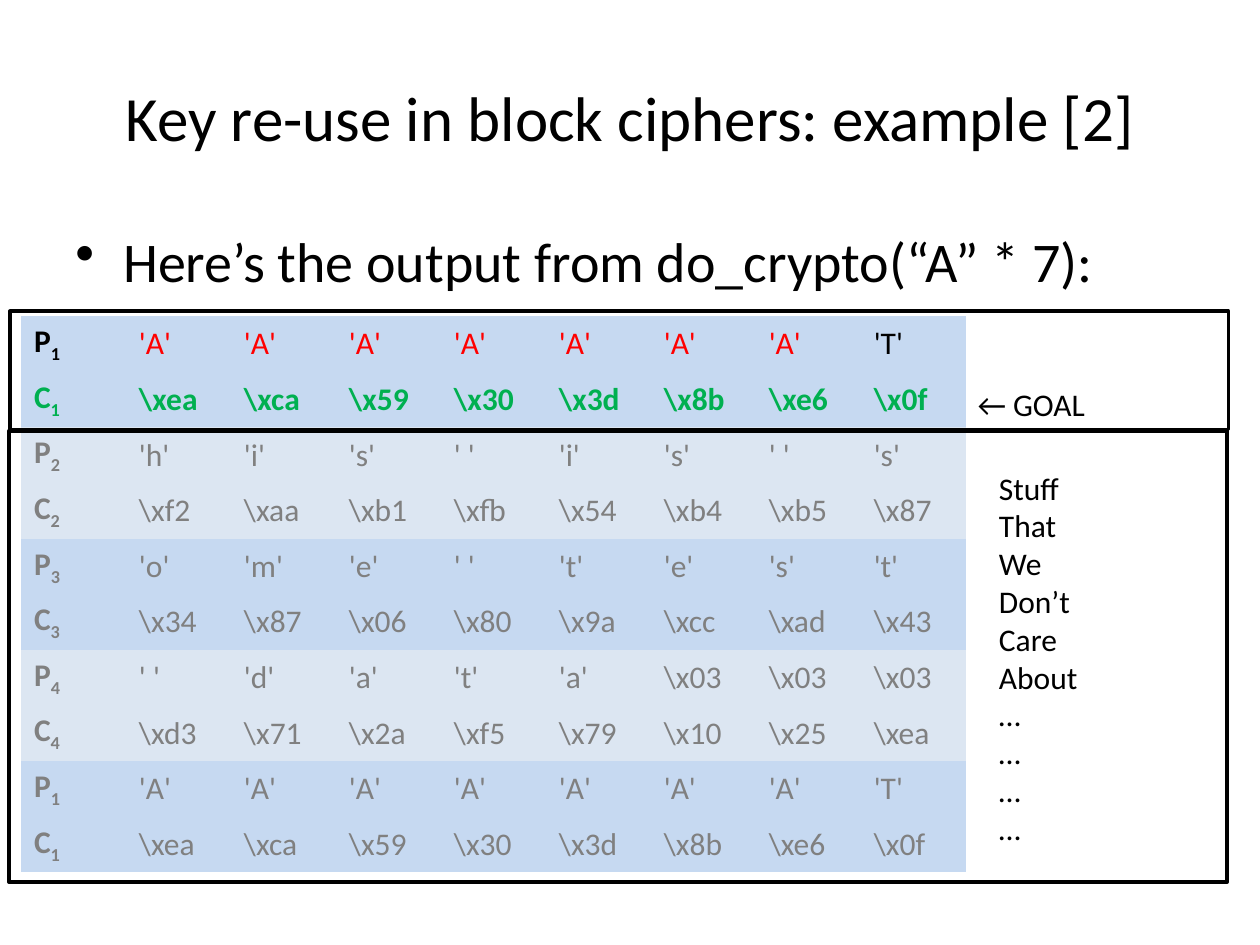
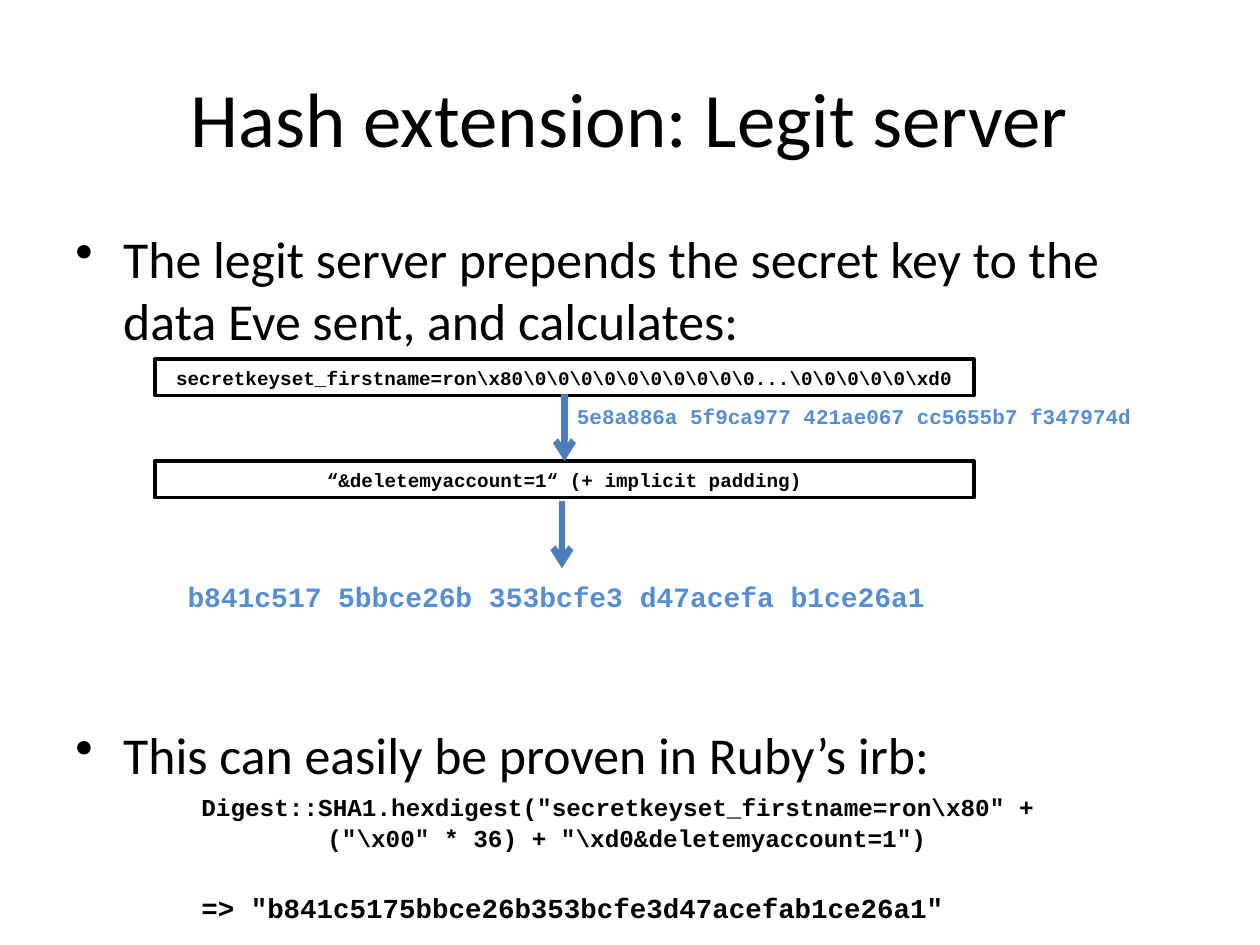
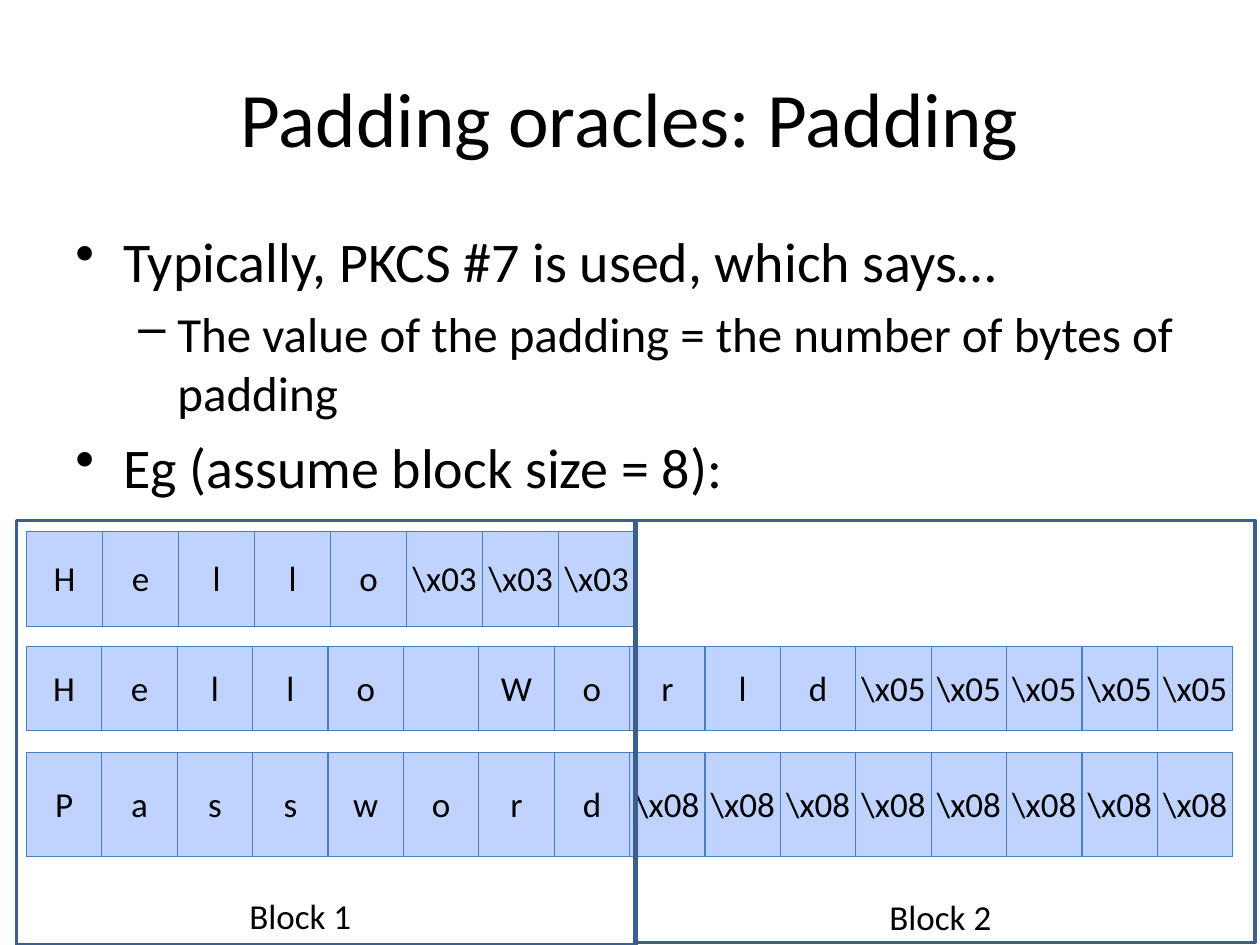
import pptx
import pptx.dml.color
import pptx.enum.shapes
import pptx.enum.text
import pptx.oxml.ns
import pptx.util
from dataclasses import dataclass
from typing import Any, Optional
from lxml import etree

Inches = pptx.util.Inches
Pt = pptx.util.Pt
qn = pptx.oxml.ns.qn
Align = pptx.enum.text.PP_ALIGN
Anchor = pptx.enum.text.MSO_ANCHOR


@dataclass(frozen=True)
class Theme:
    body_font: str = "Calibri"
    code_font: str = "Courier New"
    black: str = "000000"
    white: str = "FFFFFF"
    red: str = "FF0000"
    green: str = "00B050"
    grey: str = "808080"
    digest: str = "558ED5"
    grid: str = "4B7EBC"
    frame: str = "3A5F8C"
    band_dark: str = "C6D9F1"
    band_light: str = "DCE6F2"
    byte_fill: str = "C0D3FF"
    title: float = 44
    title_small: float = 36
    bullet: float = 32
    bullet_fitted: float = 29.6
    sub_bullet: float = 28
    byte: float = 20
    label: float = 18
    digest_large: float = 16
    result: float = 15.7
    code: float = 13.9
    digest_small: float = 12
    message: float = 11
    frame_width: float = 2
    arrow_width: float = 3.75
    grid_width: float = 0.75
    plain_table: str = "{2D5ABB26-0587-4C30-8999-92F81FD0307C}"


THEME = Theme()


@dataclass(frozen=True)
class Area:
    left: float
    top: float
    width: float
    height: float

    def lengths(self) -> tuple:
        return tuple(Inches(v) for v in (self.left, self.top, self.width, self.height))


@dataclass(frozen=True)
class Line:
    text: str
    size: float
    font: str = THEME.body_font
    color: str = THEME.black
    bold: bool = False
    align: Optional[Any] = None
    before: float = 0
    indent: float = 0
    hanging: float = 0
    bullet: str = ""


@dataclass(frozen=True)
class Frame:
    area: Area
    color: str = THEME.black
    fill: Optional[str] = None
    line: Optional[Line] = None


@dataclass(frozen=True)
class ByteRow:
    top: float
    height: float
    width: float
    values: list[str]


def rgb(value: str) -> pptx.dml.color.RGBColor:
    return pptx.dml.color.RGBColor.from_string(value)


def bullet(text: str, size: float = THEME.bullet) -> Line:
    return Line(text, size, before=0.2 * size, indent=0.38, hanging=0.38, bullet="•")


def sub_bullet(text: str) -> Line:
    size = THEME.sub_bullet
    return Line(text, size, before=0.2 * size, indent=0.81, hanging=0.31, bullet="–")


def code(text: str, size: float, color: str = THEME.black, **layout: Any) -> Line:
    return Line(text, size, THEME.code_font, color, True, **layout)


def write_line(para: Any, line: Line) -> None:
    para.text = line.text
    para.alignment = line.align
    para.space_before = Pt(line.before)
    font = para.font
    font.name, font.size, font.bold = line.font, Pt(line.size), line.bold
    font.color.rgb = rgb(line.color)
    properties = para._p.get_or_add_pPr()
    properties.set("marL", str(Inches(line.indent)))
    properties.set("indent", str(-Inches(line.hanging)))
    if line.bullet:
        mark = etree.Element(qn("a:buChar"), char=line.bullet)
        properties.find(qn("a:defRPr")).addprevious(mark)


def write_lines(text_frame: Any, lines: list[Line]) -> None:
    text_frame.word_wrap = True
    for index, line in enumerate(lines):
        para = text_frame.add_paragraph() if index else text_frame.paragraphs[0]
        write_line(para, line)


def add_text(page: Any, area: Area, *lines: Line, anchor: Any = Anchor.TOP) -> None:
    box = page.shapes.add_textbox(*area.lengths())
    box.text_frame.vertical_anchor = anchor
    write_lines(box.text_frame, list(lines))


def add_page(deck: Any, title: str, size: float = THEME.title) -> Any:
    page = deck.slides.add_slide(deck.slide_layouts[6])
    add_text(page, Area(0.5, 0.3, 9, 1.25), Line(title, size, align=Align.CENTER), anchor=Anchor.MIDDLE)
    return page


def add_body(page: Any, *lines: Line, top: float = 1.75, height: float = 4.95) -> None:
    add_text(page, Area(0.5, top, 9, height), *lines)


def add_frame(page: Any, frame: Frame) -> None:
    shape = page.shapes.add_shape(pptx.enum.shapes.MSO_SHAPE.RECTANGLE, *frame.area.lengths())
    shape.shadow.inherit = False
    shape.line.color.rgb = rgb(frame.color)
    shape.line.width = Pt(THEME.frame_width)
    if frame.fill:
        shape.fill.solid()
        shape.fill.fore_color.rgb = rgb(frame.fill)
    else:
        shape.fill.background()
    if frame.line:
        shape.text_frame.vertical_anchor = Anchor.MIDDLE
        write_lines(shape.text_frame, [frame.line])


def add_down_arrow(page: Any, x: float, top: float, bottom: float) -> None:
    arrow = page.shapes.add_connector(
        pptx.enum.shapes.MSO_CONNECTOR.STRAIGHT, Inches(x), Inches(top), Inches(x), Inches(bottom)
    )
    arrow.line.color.rgb = rgb(THEME.grid)
    arrow.line.width = Pt(THEME.arrow_width)
    etree.SubElement(arrow.line._get_or_add_ln(), qn("a:tailEnd"), type="arrow")
    etree.SubElement(arrow._element.spPr, qn("a:effectLst"))


def add_grid(page: Any, area: Area, row_count: int, column_count: int) -> Any:
    table = page.shapes.add_table(row_count, column_count, *area.lengths()).table
    table.first_row = table.horz_banding = False
    table._tbl.tblPr.find(qn("a:tableStyleId")).text = THEME.plain_table
    for row in table.rows:
        row.height = Inches(area.height / row_count)
    for column in table.columns:
        column.width = Inches(area.width / column_count)
    return table


def fill_cell(cell: Any, line: Line, fill: str) -> None:
    cell.vertical_anchor = Anchor.MIDDLE
    write_line(cell.text_frame.paragraphs[0], line)
    cell.fill.solid()
    cell.fill.fore_color.rgb = rgb(fill)


def add_border(cell: Any) -> None:
    properties = cell._tc.get_or_add_tcPr()
    for index, side in enumerate(("a:lnL", "a:lnR", "a:lnT", "a:lnB")):
        edge = etree.Element(qn(side), w=str(Pt(THEME.grid_width)))
        solid = etree.SubElement(edge, qn("a:solidFill"))
        etree.SubElement(solid, qn("a:srgbClr"), val=THEME.grid)
        properties.insert(index, edge)


def add_cipher_table(page: Any, blocks: list[tuple[str, list[str], list[str]]]) -> None:
    table = add_grid(page, Area(0.17, 2.51, 7.5, 4.41), 2 * len(blocks), 9)
    for block_index, (number, plain, cipher) in enumerate(blocks):
        fill = THEME.band_light if block_index % 2 else THEME.band_dark
        is_goal = block_index == 0
        for offset, (letter, values) in enumerate((("P", plain), ("C", cipher))):
            row = 2 * block_index + offset
            label_color = (THEME.black, THEME.green)[offset] if is_goal else THEME.grey
            label = table.cell(row, 0)
            fill_cell(label, Line(letter, THEME.label, color=label_color, bold=True), fill)
            span = label.text_frame.paragraphs[0].add_run()
            span.text = number
            span._r.get_or_add_rPr().set("baseline", "-25000")
            for column, value in enumerate(values, 1):
                is_chosen = is_goal and value == "'A'"
                line = Line(
                    value,
                    THEME.label,
                    color=THEME.red if is_chosen else label_color,
                    bold=is_goal and letter == "C",
                )
                fill_cell(table.cell(row, column), line, fill)


def add_byte_row(page: Any, row: ByteRow) -> None:
    table = add_grid(page, Area(0.21, row.top, row.width, row.height), 1, len(row.values))
    for cell, value in zip(table.iter_cells(), row.values):
        cell.margin_left = cell.margin_right = cell.margin_top = Inches(0.01)
        cell.margin_bottom = 0
        fill_cell(cell, Line(value, THEME.byte, align=Align.CENTER), THEME.byte_fill)
        add_border(cell)


def quoted(text: str) -> list[str]:
    return [f"'{letter}'" for letter in text]


def escaped(digits: str) -> list[str]:
    return [f"\\x{pair}" for pair in digits.split()]


def build_key_reuse(deck: Any) -> None:
    page = add_page(deck, "Key re-use in block ciphers: example [2]", THEME.title_small)
    add_body(page, bullet("Here’s the output from do_crypto(“A” * 7):"))
    first = ("1", quoted("AAAAAAAT"), escaped("ea ca 59 30 3d 8b e6 0f"))
    add_cipher_table(page, [
        first,
        ("2", quoted("his is s"), escaped("f2 aa b1 fb 54 b4 b5 87")),
        ("3", quoted("ome test"), escaped("34 87 06 80 9a cc ad 43")),
        ("4", quoted(" data") + escaped("03 03 03"), escaped("d3 71 2a f5 79 10 25 ea")),
        first,
    ])
    add_text(page, Area(7.66, 3.01, 2.08, 0.4), Line("← GOAL", THEME.label))
    add_frame(page, Frame(Area(0.08, 2.47, 9.67, 0.94)))
    remarks = ["Stuff", "That", "We", "Don’t", "Care", "About"] + ["…"] * 4
    add_text(page, Area(7.83, 3.67, 1.58, 3.13), *(Line(text, THEME.label) for text in remarks))
    add_frame(page, Frame(Area(0.07, 3.42, 9.67, 3.58)))


def build_hash_extension(deck: Any) -> None:
    page = add_page(deck, "Hash extension: Legit server")
    add_body(
        page,
        bullet(
            "The legit server prepends the secret key to the data Eve sent, and calculates:",
            THEME.bullet_fitted,
        ),
        height=1.1,
    )
    add_body(
        page,
        bullet("This can easily be proven in Ruby’s irb:", THEME.bullet_fitted),
        code(
            'Digest::SHA1.hexdigest("secretkeyset_firstname=ron\\x80" +',
            THEME.code, before=4, indent=1,
        ),
        code('("\\x00" * 36) + "\\xd0&deletemyaccount=1")', THEME.code, before=1, indent=2),
        code('=> "b841c5175bbce26b353bcfe3d47acefab1ce26a1"', THEME.result, before=22, indent=1),
        top=5.69,
        height=1.75,
    )
    messages = (
        (2.85, "secretkeyset_firstname=ron\\x80" + "\\0" * 10 + "..." + "\\0" * 5 + "\\xd0"),
        (3.66, "“&deletemyaccount=1“ (+ implicit padding)"),
    )
    for top, text in messages:
        line = code(text, THEME.message, align=Align.CENTER)
        add_frame(page, Frame(Area(1.23, top, 6.5, 0.29), fill=THEME.white, line=line))
    add_down_arrow(page, 4.48, 3.13, 3.66)
    add_text(
        page, Area(4.48, 3.15, 4.7, 0.3),
        code("5e8a886a 5f9ca977 421ae067 cc5655b7 f347974d", THEME.digest_small, THEME.digest),
    )
    add_text(
        page, Area(1.39, 4.55, 6.33, 0.37),
        code("b841c517 5bbce26b 353bcfe3 d47acefa b1ce26a1", THEME.digest_large, THEME.digest),
    )
    add_down_arrow(page, 4.46, 3.98, 4.51)


def build_padding(deck: Any) -> None:
    page = add_page(deck, "Padding oracles: Padding")
    add_body(
        page,
        bullet("Typically, PKCS #7 is used, which says…"),
        sub_bullet("The value of the padding = the number of bytes of padding"),
        bullet("Eg (assume block size = 8):"),
    )
    for row in (
        ByteRow(4.22, 0.75, 4.83, list("Hello") + ["\\x03"] * 3),
        ByteRow(5.13, 0.67, 9.58, [*"Hello", "", *"World"] + ["\\x05"] * 5),
        ByteRow(5.97, 0.83, 9.58, list("Password") + ["\\x08"] * 8),
    ):
        add_byte_row(page, row)
    add_frame(page, Frame(Area(0.13, 4.13, 4.92, 3.37), THEME.frame))
    add_frame(page, Frame(Area(5.04, 4.13, 4.92, 3.35), THEME.frame))
    add_text(page, Area(1.88, 7.05, 1.25, 0.44), Line("Block 1", THEME.byte))
    add_text(page, Area(6.96, 7.06, 1.25, 0.44), Line("Block 2", THEME.byte))


def main() -> None:
    deck = pptx.Presentation()
    deck.slide_width, deck.slide_height = Inches(10), Inches(7.5)
    build_key_reuse(deck)
    build_hash_extension(deck)
    build_padding(deck)
    deck.save("out.pptx")


if __name__ == "__main__":
    main()
